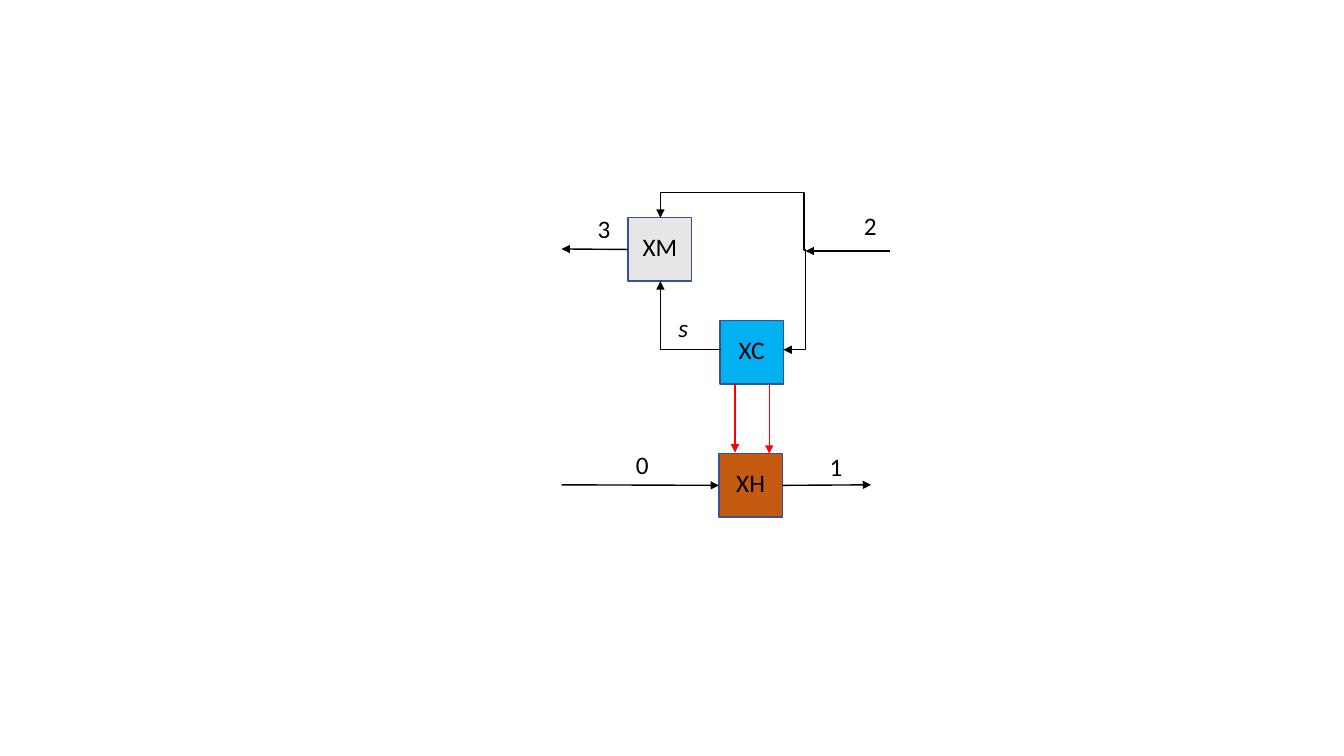
from dataclasses import dataclass
from typing import Optional

from lxml import etree
from pptx import Presentation
from pptx.dml.color import RGBColor
from pptx.enum.shapes import MSO_CONNECTOR, MSO_SHAPE
from pptx.enum.text import MSO_ANCHOR, MSO_AUTO_SIZE, PP_ALIGN
from pptx.oxml.ns import qn
from pptx.util import Inches, Pt

STRAIGHT, ELBOW = MSO_CONNECTOR.STRAIGHT, MSO_CONNECTOR.ELBOW
RECT = MSO_SHAPE.RECTANGLE
CENTER, LEFT = PP_ALIGN.CENTER, PP_ALIGN.LEFT
MIDDLE = MSO_ANCHOR.MIDDLE
FIT_SHAPE = MSO_AUTO_SIZE.SHAPE_TO_FIT_TEXT
LEFT_SIDE, RIGHT_SIDE = 1, 3

BLACK, RED, BORDER = "000000", "FF0000", "325491"
BOX_SIZE = 0.63
LABEL_W, LABEL_H = 0.36, 0.4


@dataclass
class Box:
    text: str
    x: float
    y: float
    fill: str


@dataclass
class Label:
    text: str
    x: float
    y: float
    italic: bool = False


@dataclass
class Arrow:
    x1: float
    y1: float
    x2: float
    y2: float
    color: str = BLACK
    begin: Optional[tuple[str, int]] = None
    end: Optional[tuple[str, int]] = None


@dataclass
class Elbow:
    x: float
    y: float
    w: float
    h: float
    rotation: int
    preset: str
    adjustments: tuple[float, ...] = ()


BOXES = [
    Box("XM", 6.23, 2.16, "E7E6E6"),
    Box("XH", 7.13, 4.5, "C55A11"),
    Box("XC", 7.14, 3.18, "00B0F0"),
]
LABELS = [
    Label("0", 6.21, 4.41),
    Label("1", 8.13, 4.43),
    Label("s", 6.63, 3.05, italic=True),
    Label("3", 5.83, 2.07),
    Label("2", 8.47, 2.04),
]
ARROWS = [
    Arrow(6.23, 2.47, 5.57, 2.47, begin=("XM", LEFT_SIDE)),
    Arrow(5.57, 4.81, 7.13, 4.81, end=("XH", LEFT_SIDE)),
    Arrow(7.29, 3.81, 7.29, 4.49, RED),
    Arrow(7.63, 3.81, 7.63, 4.5, RED),
    Arrow(7.76, 4.81, 8.64, 4.81, begin=("XH", RIGHT_SIDE)),
    Arrow(8.83, 2.49, 7.99, 2.49),
]
ELBOWS = [
    Elbow(7.39, 2.87, 0.98, 0.22, 90, "bentConnector2"),
    Elbow(6.55, 2.16, 1.44, 0.32, 180, "bentConnector4", (0.01, 1.78)),
    Elbow(6.55, 2.79, 0.6, 0.68, 180, "bentConnector2"),
]


def rgb(color: str) -> RGBColor:
    return RGBColor.from_string(color)


def write(tf, text: str, align, italic: bool = False) -> None:
    p = tf.paragraphs[0]
    p.text = text
    p.alignment = align
    p.font.name = "Calibri"
    p.font.size = Pt(18)
    p.font.italic = italic
    p.font.color.rgb = rgb(BLACK)


def add_box(slide, box: Box):
    s = slide.shapes.add_shape(RECT, Inches(box.x), Inches(box.y), Inches(BOX_SIZE), Inches(BOX_SIZE))
    s.shadow.inherit = False
    s.fill.solid()
    s.fill.fore_color.rgb = rgb(box.fill)
    s.line.color.rgb = rgb(BORDER)
    s.line.width = Pt(1)
    tf = s.text_frame
    tf.word_wrap = True
    tf.vertical_anchor = MIDDLE
    tf.margin_bottom = Inches(0.1)
    write(tf, box.text, CENTER)
    return s


def add_label(slide, label: Label) -> None:
    s = slide.shapes.add_textbox(Inches(label.x), Inches(label.y), Inches(LABEL_W), Inches(LABEL_H))
    tf = s.text_frame
    tf.word_wrap = True
    tf.auto_size = FIT_SHAPE
    write(tf, label.text, LEFT, label.italic)


def style_arrow(s, color: str) -> None:
    s.line.color.rgb = rgb(color)
    s.line.width = Pt(1)
    etree.SubElement(s.line._get_or_add_ln(), qn("a:tailEnd"), type="triangle")
    etree.SubElement(s.element.spPr, qn("a:effectLst"))


def add_arrow(slide, arrow: Arrow, boxes: dict) -> None:
    s = slide.shapes.add_connector(
        STRAIGHT, Inches(arrow.x1), Inches(arrow.y1), Inches(arrow.x2), Inches(arrow.y2))
    if arrow.begin:
        name, side = arrow.begin
        s.begin_connect(boxes[name], side)
    if arrow.end:
        name, side = arrow.end
        s.end_connect(boxes[name], side)
    style_arrow(s, arrow.color)


def add_elbow(slide, elbow: Elbow) -> None:
    s = slide.shapes.add_connector(
        ELBOW, Inches(elbow.x), Inches(elbow.y),
        Inches(elbow.x + elbow.w), Inches(elbow.y + elbow.h))
    sp_pr = s.element.spPr
    sp_pr.find(qn("a:xfrm")).set("rot", str(elbow.rotation * 60000))
    geom = sp_pr.find(qn("a:prstGeom"))
    geom.set("prst", elbow.preset)
    guides = geom.find(qn("a:avLst"))
    for i, value in enumerate(elbow.adjustments, 1):
        etree.SubElement(guides, qn("a:gd"), name=f"adj{i}", fmla=f"val {round(value * 100000)}")
    style_arrow(s, BLACK)


def main() -> None:
    prs = Presentation()
    prs.slide_width, prs.slide_height = Inches(13.33), Inches(7.5)
    slide = prs.slides.add_slide(prs.slide_layouts[6])
    boxes = {box.text: add_box(slide, box) for box in BOXES}
    for arrow in ARROWS:
        add_arrow(slide, arrow, boxes)
    for elbow in ELBOWS:
        add_elbow(slide, elbow)
    for label in LABELS:
        add_label(slide, label)
    prs.save("out.pptx")


if __name__ == "__main__":
    main()
